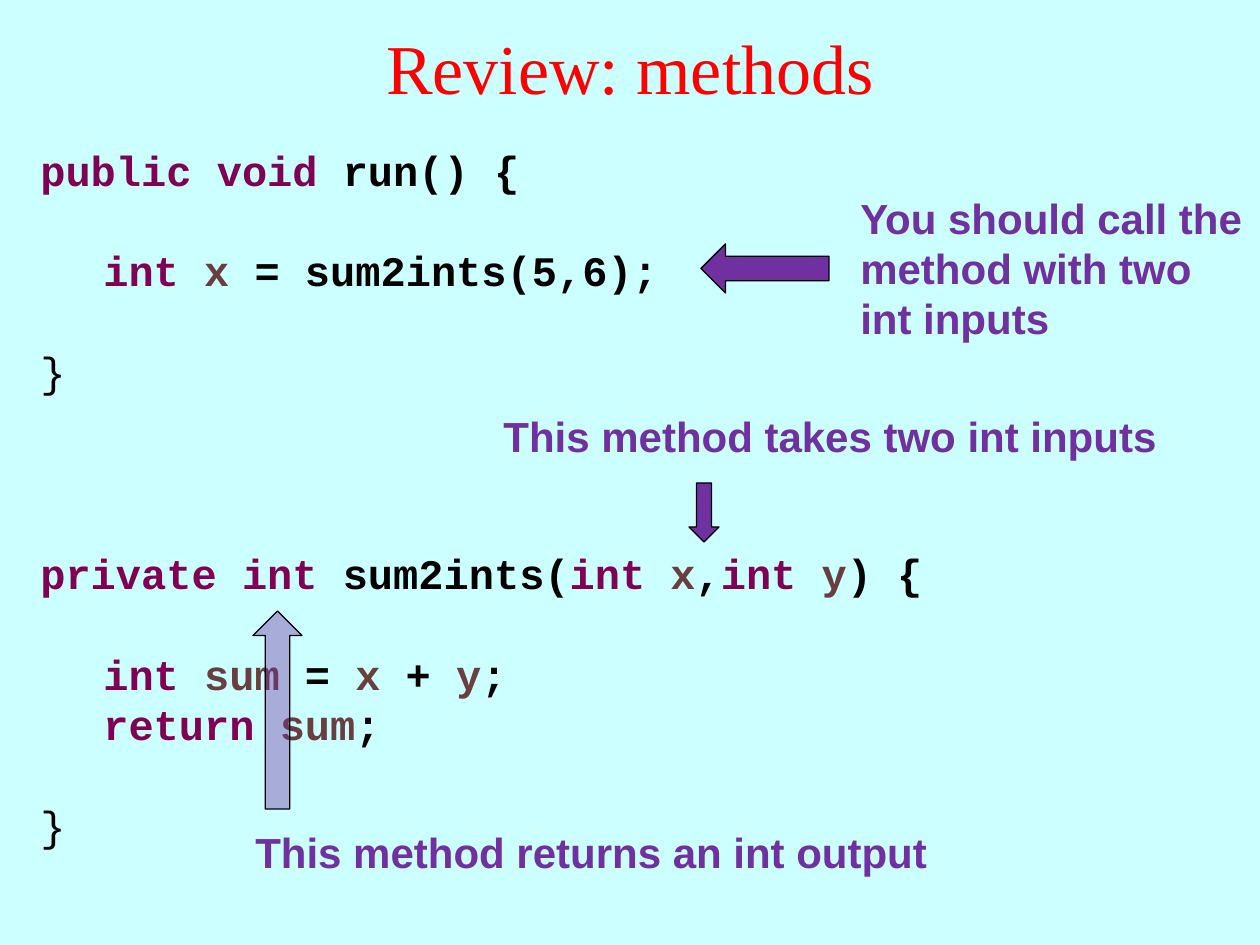
from lxml import etree
from pptx import Presentation
from pptx import util as u
from pptx.dml.color import RGBColor
from pptx.enum import shapes, text
from pptx.oxml.ns import qn

PX = 914400 // 126
INDENT = 63
LINE = u.Pt(28.8)

BLACK, RED, PURPLE = "000000", "FF0000", "7030A0"
KEYWORD, VARIABLE = "7F0055", "6A3E3E"


def rgb(value):
    return RGBColor.from_string(value)


def px(*lengths):
    return [length * PX for length in lengths]


class ReviewSlide:
    def __init__(self, deck, background):
        self.slide = deck.slides.add_slide(deck.slide_layouts[6])
        fill = self.slide.background.fill
        fill.solid()
        fill.fore_color.rgb = rgb(background)

    def frame(self, box, grow=True):
        frame = self.slide.shapes.add_textbox(*px(*box)).text_frame
        frame.word_wrap = True
        if grow:
            frame.auto_size = text.MSO_AUTO_SIZE.SHAPE_TO_FIT_TEXT
        return frame

    def style(self, run, font, size, color, bold=False):
        run.font.name = font
        run.font.size = u.Pt(size)
        run.font.color.rgb = rgb(color)
        run.font.bold = bold

    def title(self, words, box):
        frame = self.frame(box, grow=False)
        frame.text = words
        frame.vertical_anchor = text.MSO_ANCHOR.MIDDLE
        line = frame.paragraphs[0]
        line.alignment = text.PP_ALIGN.CENTER
        self.style(line.runs[0], "Times New Roman", 40, RED)

    def note(self, words, box):
        frame = self.frame(box)
        frame.text = words
        line = frame.paragraphs[0]
        line.line_spacing = LINE
        self.style(line.runs[0], "Arial", 24, PURPLE, bold=True)

    def code(self, lines, box):
        """Each line is (blank lines above, indent level, coloured pieces)."""
        frame = self.frame(box)
        for number, (gap, level, pieces) in enumerate(lines):
            line = frame.add_paragraph() if number else frame.paragraphs[0]
            line.line_spacing = LINE
            if gap:
                line.space_before = u.Emu(gap * LINE)
            line._p.get_or_add_pPr().set("marL", str(level * INDENT * PX))
            for words, color in pieces:
                run = line.add_run()
                run.text = words
                self.style(run, "Courier New", 24, color, bold=words != "}")

    def arrow(self, preset, box, opacity=100):
        arrow = self.slide.shapes.add_shape(preset, *px(*box))
        arrow.shadow.inherit = False
        arrow.fill.solid()
        arrow.fill.fore_color.rgb = rgb(PURPLE)
        arrow.line.color.rgb = rgb(BLACK)
        arrow.line.width = u.Pt(0.75)
        if opacity < 100:
            color = arrow._element.spPr.find(qn("a:solidFill"))[0]
            etree.SubElement(color, qn("a:alpha")).set("val", str(opacity * 1000))


def main():
    deck = Presentation()
    deck.slide_width, deck.slide_height = u.Inches(10), u.Inches(7.5)
    review = ReviewSlide(deck, "CCFFFF")

    # Code of both methods
    closing = (1, 1, [("}", BLACK)])
    review.code([
        (0, 1, [("public void", KEYWORD), (" run() {", BLACK)]),
        (1, 2, [("int ", KEYWORD), ("x", VARIABLE),
                (" = sum2ints(5,6);", BLACK)]),
        closing,
        (3, 1, [("private int", KEYWORD), (" sum2ints(", BLACK),
                ("int ", KEYWORD), ("x", VARIABLE), (",", BLACK),
                ("int ", KEYWORD), ("y", VARIABLE), (") {", BLACK)]),
        (1, 2, [("int ", KEYWORD), ("sum", VARIABLE), (" = ", BLACK),
                ("x", VARIABLE), (" + ", BLACK), ("y", VARIABLE),
                (";", BLACK)]),
        (0, 2, [("return ", KEYWORD), ("sum", VARIABLE), (";", BLACK)]),
        closing,
    ], (-35, 138, 1290, 772))

    # Title
    review.title("Review: methods", (0, 16, 1260, 102))

    # Notes with their arrows
    review.note("You should call the method with two int inputs",
                (848, 186, 417, 165))
    review.arrow(shapes.MSO_SHAPE.LEFT_ARROW, (701, 244, 128, 49))
    review.note("This method takes two int inputs", (491, 404, 764, 63))
    review.note("This method returns an int output", (243, 820, 912, 63))
    review.arrow(shapes.MSO_SHAPE.DOWN_ARROW, (689, 483, 30, 59))
    review.arrow(shapes.MSO_SHAPE.UP_ARROW, (253, 611, 49, 198), opacity=40)

    deck.save("out.pptx")


if __name__ == "__main__":
    main()
